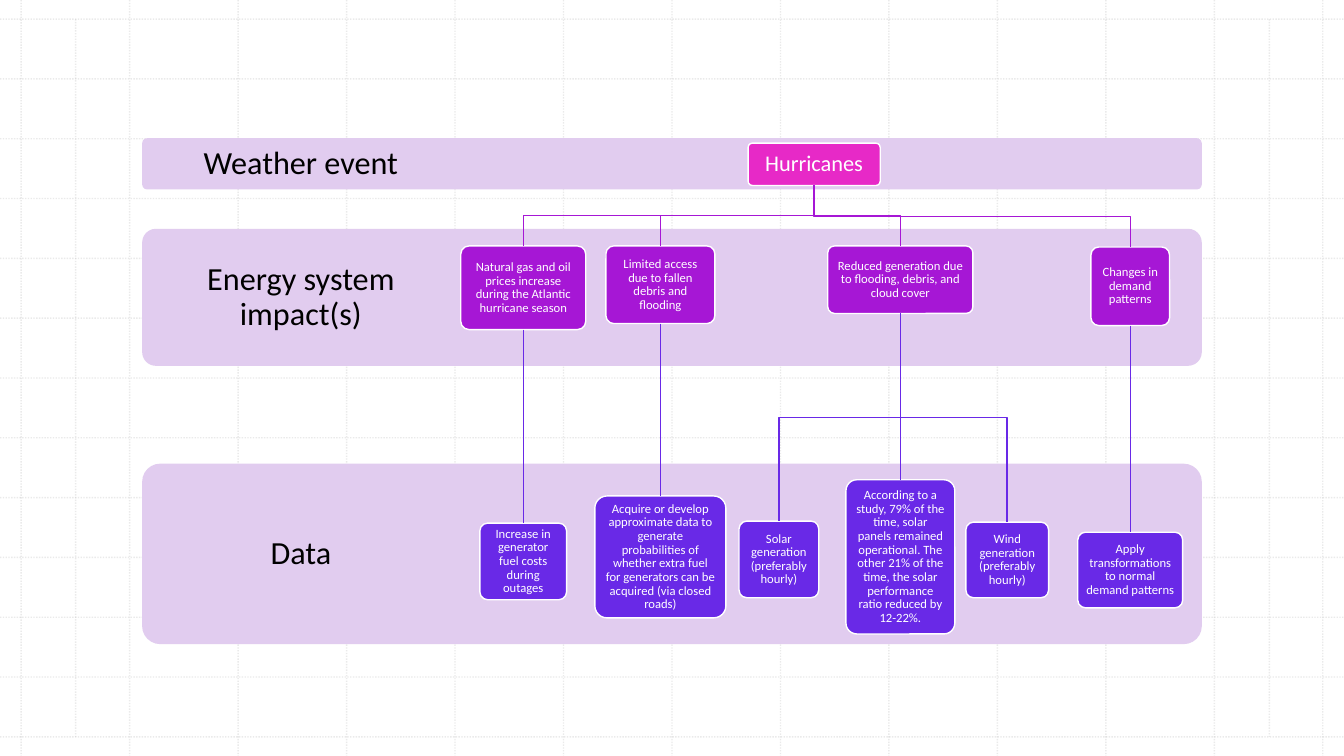
from dataclasses import dataclass

from lxml import etree
from pptx import Presentation
from pptx import util as u
from pptx.dml.color import RGBColor
from pptx.enum import dml, shapes, text
from pptx.oxml.ns import qn

COLOURS = {
    "grid": "BCBCBC",
    "band": "E1CCEF",
    "label": "000000",
    "event": "E729C7",
    "impact": "A617D5",
    "data": "6929E7",
    "white": "FFFFFF",
}
LEVELS = ("event", "impact", "data")
FONT = "Calibri"
SLIDE_W, SLIDE_H = 13.33, 7.5
BAND_LEFT, BAND_W, LABEL_W = 1.41, 10.51, 3.15


@dataclass(frozen=True)
class Band:
    label: str
    top: float
    height: float


@dataclass(frozen=True)
class Node:
    wording: str
    left: float
    top: float
    width: float
    height: float
    children: tuple["Node", ...] = ()


BANDS = (
    Band("Data", 4.6, 1.79),
    Band("Energy system impact(s)", 2.27, 1.36),
    Band("Weather event", 1.37, 0.51),
)

HURRICANES = Node("Hurricanes", 7.42, 1.42, 1.31, 0.42, (
    Node("Natural gas and oil prices increase during the Atlantic hurricane season",
         4.57, 2.44, 1.24, 0.83, (
             Node("Increase in generator fuel costs during outages", 4.76, 5.19, 0.86, 0.76),
         )),
    Node("Limited access due to fallen debris and flooding", 6.01, 2.44, 1.08, 0.77, (
        Node("Acquire or develop approximate data to generate probabilities of whether "
             "extra fuel for generators can be acquired (via closed roads)",
             5.9, 4.92, 1.3, 1.21),
    )),
    Node("Reduced generation due to flooding, debris, and cloud cover",
         8.21, 2.44, 1.44, 0.67, (
             Node("Solar generation (preferably hourly)", 7.33, 5.17, 0.79, 0.76),
             Node("According to a study, 79% of the time, solar panels remained operational. "
                  "The other 21% of the time, the solar performance ratio reduced by 12-22%.",
                  8.39, 4.76, 1.08, 1.53),
             Node("Wind generation (preferably hourly)", 9.58, 5.18, 0.82, 0.75),
         )),
    Node("Changes in demand patterns", 10.82, 2.45, 0.78, 0.78, (
        Node("Apply transformations to normal demand patterns", 10.69, 5.28, 1.04, 0.75),
    )),
))


def rgb(name: str) -> RGBColor:
    return RGBColor.from_string(COLOURS[name])


def add_straight(slide, x1: float, y1: float, x2: float, y2: float, colour: str):
    line = slide.shapes.add_connector(
        shapes.MSO_CONNECTOR.STRAIGHT,
        u.Inches(x1), u.Inches(y1), u.Inches(x2), u.Inches(y2))
    line.line.color.rgb = rgb(colour)
    line.line.width = u.Pt(1)
    etree.SubElement(line._element.spPr, qn("a:effectLst"))
    return line


def add_grid_line(slide, x1: float, y1: float, x2: float, y2: float) -> None:
    line = add_straight(slide, x1, y1, x2, y2, "grid")
    line.line.dash_style = dml.MSO_LINE.ROUND_DOT
    for colour in line._element.spPr.iter(qn("a:srgbClr")):
        etree.SubElement(colour, qn("a:alpha"), val="30000")


def add_grid(slide) -> None:
    first_x, last_x, first_y, last_y, steps = 0.21, 13.12, 0.19, 7.31, 12
    for i in range(steps + 1):
        x = first_x + i * (last_x - first_x) / steps
        add_grid_line(slide, x, 0, x, SLIDE_H)
    for i in range(steps + 1):
        y = first_y + i * (last_y - first_y) / steps
        add_grid_line(slide, 0, y, SLIDE_W, y)
    for margin_x in (0.75, 12.59):
        add_grid_line(slide, margin_x, first_y, margin_x, last_y)


def write(shape, wording: str, size: float, colour: str, inset: float) -> None:
    """Fill a shape with one centred paragraph."""
    frame = shape.text_frame
    frame.word_wrap = True
    frame.vertical_anchor = text.MSO_ANCHOR.MIDDLE
    frame.margin_left = frame.margin_right = u.Inches(inset)
    frame.margin_top = frame.margin_bottom = u.Inches(inset)
    paragraph = frame.paragraphs[0]
    paragraph.alignment = text.PP_ALIGN.CENTER
    paragraph.line_spacing = 0.9
    run = paragraph.add_run()
    run.text = wording
    run.font.name = FONT
    run.font.size = u.Pt(size)
    run.font.color.rgb = rgb(colour)


def add_rounded(slide, left: float, top: float, width: float, height: float, fill: str):
    box = slide.shapes.add_shape(
        shapes.MSO_SHAPE.ROUNDED_RECTANGLE,
        u.Inches(left), u.Inches(top), u.Inches(width), u.Inches(height))
    box.adjustments[0] = 0.1
    box.shadow.inherit = False
    box.fill.solid()
    box.fill.fore_color.rgb = rgb(fill)
    box.line.fill.background()
    return box


def add_band(slide, band: Band) -> None:
    add_rounded(slide, BAND_LEFT, band.top, BAND_W, band.height, "band")
    label = slide.shapes.add_textbox(
        u.Inches(BAND_LEFT), u.Inches(band.top), u.Inches(LABEL_W), u.Inches(band.height))
    write(label, band.label, 23, "label", 0.18)


def add_branch(slide, parent, child, colour: str) -> None:
    """Link a parent's bottom to a child's top, bending halfway if they are not aligned."""
    start_x, start_y = parent.left + parent.width // 2, parent.top + parent.height
    end_x, end_y = child.left + child.width // 2, child.top
    if abs(end_x - start_x) < u.Inches(0.01):
        line = add_straight(slide, start_x.inches if hasattr(start_x, "inches")
                            else start_x / u.Inches(1), start_y / u.Inches(1),
                            end_x / u.Inches(1), end_y / u.Inches(1), colour)
        line.begin_connect(parent, 2)
        line.end_connect(child, 0)
        return
    middle_y = (start_y + end_y) // 2
    builder = slide.shapes.build_freeform(start_x, start_y)
    builder.add_line_segments(
        [(start_x, middle_y), (end_x, middle_y), (end_x, end_y)], close=False)
    elbow = builder.convert_to_shape()
    elbow.shadow.inherit = False
    elbow.fill.background()
    elbow.line.color.rgb = rgb(colour)
    elbow.line.width = u.Pt(1)


def add_node(slide, node: Node, depth: int = 0):
    """Draw a node and, below it, the tree of its children."""
    box = add_rounded(slide, node.left, node.top, node.width, node.height, LEVELS[depth])
    box.line.color.rgb = rgb("white")
    box.line.width = u.Pt(1)
    write(box, node.wording, 9 if depth else 16, "white", 0.06 if depth else 0.08)
    for child in node.children:
        child_box = add_node(slide, child, depth + 1)
        add_branch(slide, box, child_box, LEVELS[depth + 1])
    return box


def main() -> None:
    deck = Presentation()
    deck.slide_width, deck.slide_height = u.Inches(SLIDE_W), u.Inches(SLIDE_H)
    slide = deck.slides.add_slide(deck.slide_layouts[6])
    add_grid(slide)
    for band in BANDS:
        add_band(slide, band)
    add_node(slide, HURRICANES)
    deck.save("out.pptx")


if __name__ == "__main__":
    main()
